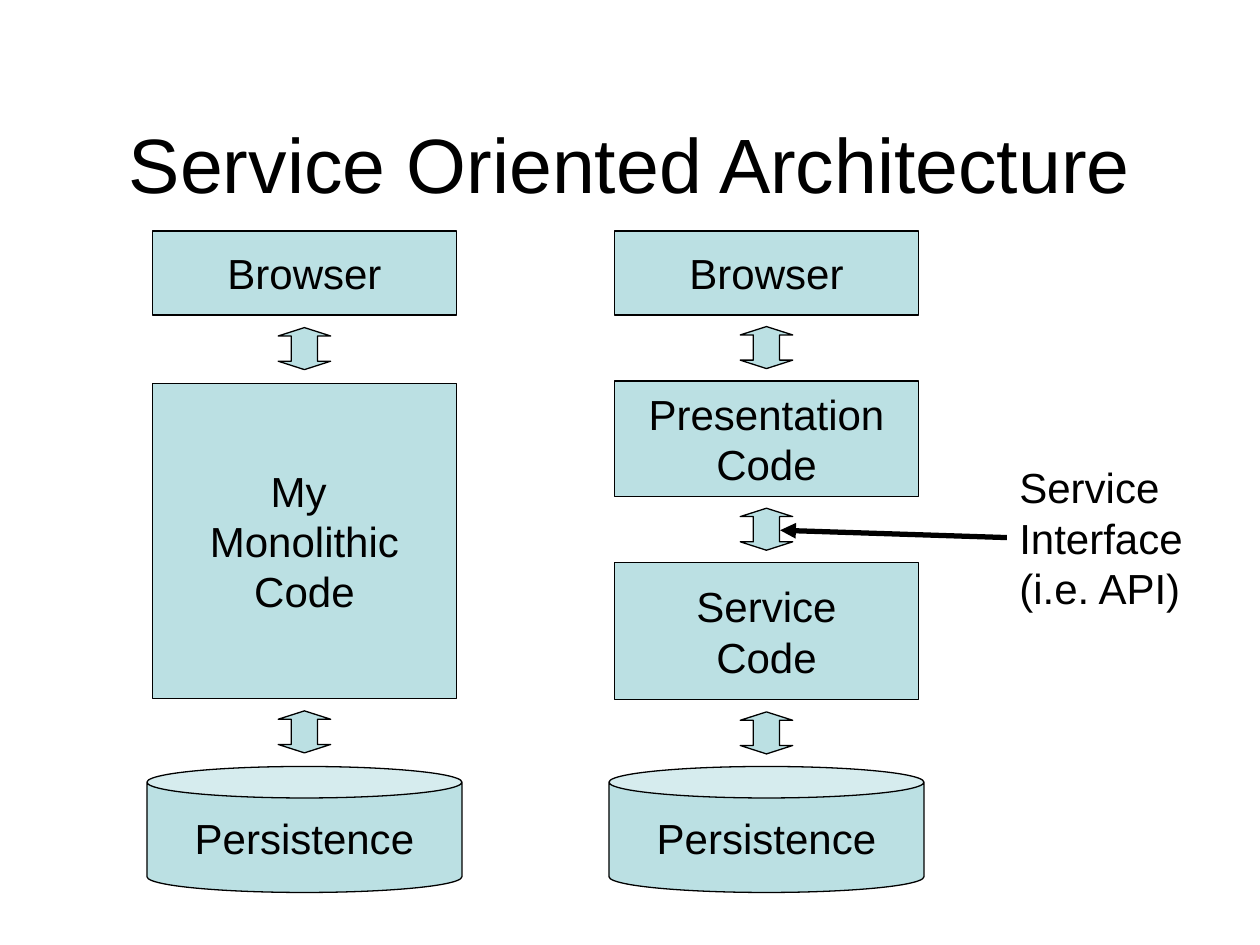
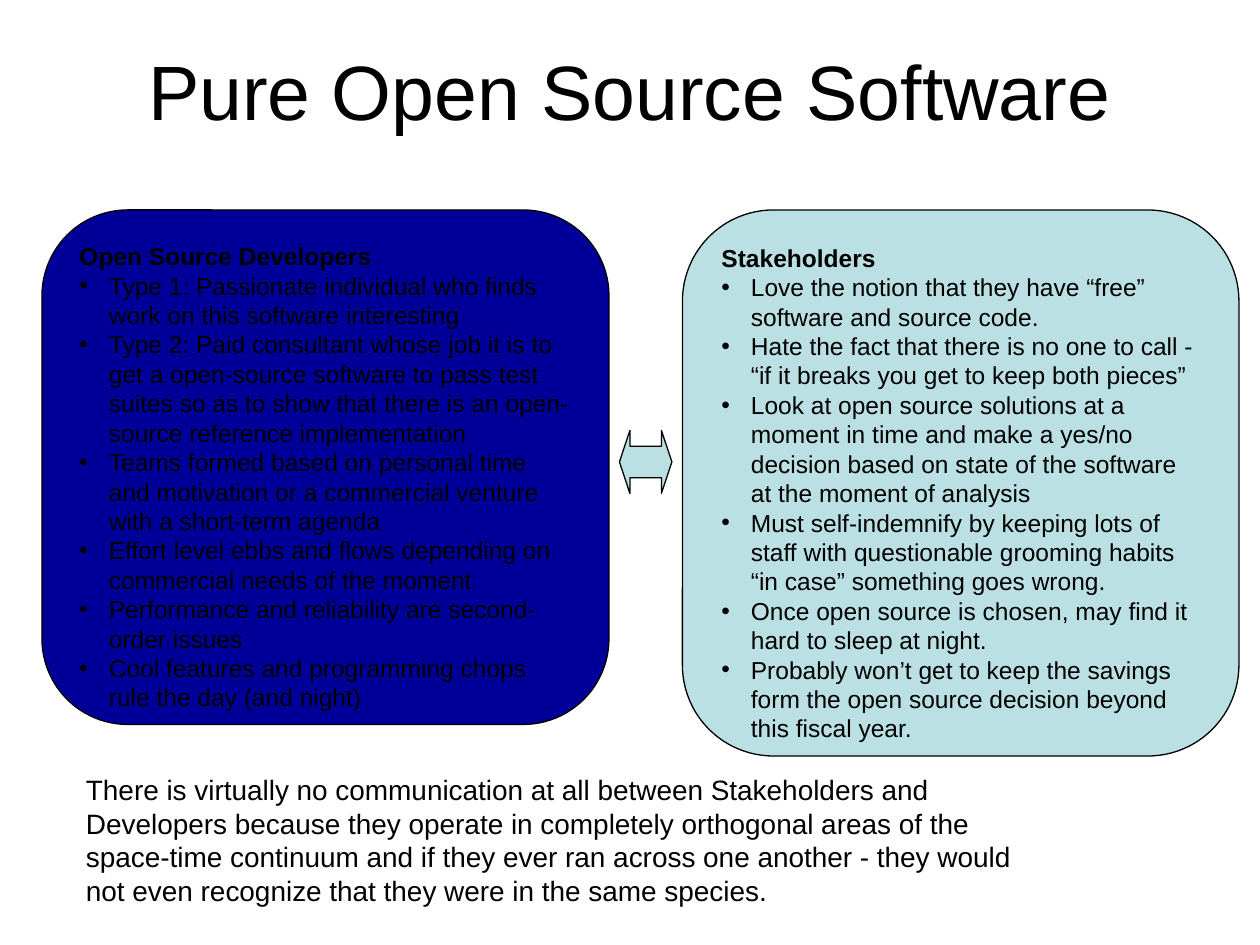
from typing import NamedTuple

from lxml import etree
from pptx import Presentation
from pptx import util as u
from pptx.dml.color import RGBColor
from pptx.enum import shapes, text
from pptx.oxml.ns import qn

PX = 7620
BLACK, PALE, NAVY = "000000", "BBE0E3", "000099"
FONT = "Arial"
KIND = shapes.MSO_SHAPE
HANG = 28
NODE_W, CAN_W = 290, 300
ARROW_W, ARROW_H = 50, 40
ARROW_GUIDES = {"adj1": 50000, "adj2": 20000}


class Box(NamedTuple):
    x: int
    y: int
    w: int
    h: int


class Node(NamedTuple):
    lines: list[str]
    y: int
    h: int
    kind: KIND = KIND.RECTANGLE


class Stack(NamedTuple):
    center: int
    nodes: list[Node]


class Panel(NamedTuple):
    box: Box
    fill: str
    heading: str
    points: list[str]


BROWSER = Node(["Browser"], 220, 80)
PERSISTENCE = Node(["Persistence"], 730, 120, KIND.CAN)

STACKS = [
    Stack(290, [
        BROWSER,
        Node(["My ", "Monolithic", "Code"], 365, 300),
        PERSISTENCE,
    ]),
    Stack(730, [
        BROWSER,
        Node(["Presentation", "Code"], 363, 110),
        Node(["Service", "Code"], 536, 130),
        PERSISTENCE,
    ]),
]

PANELS = [
    Panel(Box(40, 200, 540, 490), NAVY, "Open Source Developers", [
        "Type 1: Passionate individual who finds work on this software interesting",
        "Type 2: Paid consultant whose job it is to get a open-source software to pass "
        "test suites so as to show that there is an open-source reference implementation",
        "Teams formed based on personal time and motivation or a commercial venture "
        "with a short-term agenda",
        "Effort level ebbs and flows depending on commercial needs of the moment",
        "Performance and reliability are second-order issues",
        "Cool features and programming chops rule the day (and night)",
    ]),
    Panel(Box(650, 200, 530, 520), PALE, "Stakeholders", [
        "Love the notion that they have “free” software and source code.",
        "Hate the fact that there is no one to call - “if it breaks you get to keep both pieces”",
        "Look at open source solutions at a moment in time and make a yes/no decision "
        "based on state of the software at the moment of analysis",
        "Must self-indemnify by keeping lots of staff with questionable grooming habits "
        "“in case” something goes wrong.",
        "Once open source is chosen, may find it hard to sleep at night.",
        "Probably won’t get to keep the savings form the open source decision beyond "
        "this fiscal year.",
    ]),
]

SUMMARY = (
    "There is virtually no communication at all between Stakeholders and Developers "
    "because they operate in completely orthogonal areas of the space-time continuum "
    "and if they ever ran across one another - they would not even recognize that they "
    "were in the same species."
)


def px(n: int) -> u.Emu:
    return u.Emu(n * PX)


def rgb(color: str) -> RGBColor:
    return RGBColor.from_string(color)


def add_bullet(p) -> None:
    pPr = p._p.get_or_add_pPr()
    pPr.set("marL", str(px(HANG)))
    pPr.set("indent", str(-px(HANG)))
    clr = etree.SubElement(pPr, qn("a:buClr"))
    etree.SubElement(clr, qn("a:srgbClr"), val=BLACK)
    etree.SubElement(pPr, qn("a:buFont"), typeface=FONT)
    etree.SubElement(pPr, qn("a:buChar"), char="•")


def write(tf, line: str, *, size: int, bold: bool = False, bullet: bool = False,
          align=text.PP_ALIGN.LEFT) -> None:
    p = tf.paragraphs[0]
    if p.runs:
        p = tf.add_paragraph()
    if bullet:
        add_bullet(p)
    p.alignment = align
    r = p.add_run()
    r.text = line
    r.font.name = FONT
    r.font.size = u.Pt(size)
    r.font.bold = bold
    r.font.color.rgb = rgb(BLACK)


def add_slide(prs, title: str, top: int):
    s = prs.slides.add_slide(prs.slide_layouts[5])
    sp = s.shapes.title
    sp.left, sp.top, sp.width, sp.height = map(px, Box(90, top, 1020, 150))
    tf = sp.text_frame
    tf.auto_size = text.MSO_AUTO_SIZE.NONE
    tf.vertical_anchor = text.MSO_ANCHOR.MIDDLE
    write(tf, title, size=44, align=text.PP_ALIGN.CENTER)
    return s


def add_shape(s, kind: KIND, box: Box, fill: str = PALE):
    sp = s.shapes.add_shape(kind, *map(px, box))
    sp.shadow.inherit = False
    sp.fill.solid()
    sp.fill.fore_color.rgb = rgb(fill)
    sp.line.color.rgb = rgb(BLACK)
    sp.line.width = u.Pt(0.75)
    return sp


def add_arrow(s, kind: KIND, box: Box) -> None:
    sp = add_shape(s, kind, box)
    guides = sp._element.spPr.find(qn("a:prstGeom")).find(qn("a:avLst"))
    for gd in list(guides):
        guides.remove(gd)
    for name, value in ARROW_GUIDES.items():
        etree.SubElement(guides, qn("a:gd"), name=name, fmla=f"val {value}")


def add_text(s, box: Box, lines: list[str], size: int, wrap: bool) -> None:
    tf = s.shapes.add_textbox(*map(px, box)).text_frame
    tf.word_wrap = wrap
    tf.auto_size = text.MSO_AUTO_SIZE.SHAPE_TO_FIT_TEXT
    for line in lines:
        write(tf, line, size=size)


def add_node(s, node: Node, center: int) -> None:
    w = CAN_W if node.kind == KIND.CAN else NODE_W
    sp = add_shape(s, node.kind, Box(center - w // 2, node.y, w, node.h))
    tf = sp.text_frame
    tf.word_wrap = False
    tf.vertical_anchor = text.MSO_ANCHOR.MIDDLE
    for line in node.lines:
        write(tf, line, size=24, align=text.PP_ALIGN.CENTER)


def add_stack(s, stack: Stack) -> None:
    for node in stack.nodes:
        add_node(s, node, stack.center)
    for upper, lower in zip(stack.nodes, stack.nodes[1:]):
        middle = (upper.y + upper.h + lower.y) // 2
        add_arrow(s, KIND.UP_DOWN_ARROW, Box(
            stack.center - ARROW_W // 2, middle - ARROW_H // 2, ARROW_W, ARROW_H))


def add_pointer(s, x1: int, y1: int, x2: int, y2: int) -> None:
    c = s.shapes.add_connector(shapes.MSO_CONNECTOR.STRAIGHT, *map(px, (x1, y1, x2, y2)))
    c.line.color.rgb = rgb(BLACK)
    c.line.width = u.Pt(3)
    etree.SubElement(c.line._get_or_add_ln(), qn("a:tailEnd"), type="triangle")
    etree.SubElement(c._element.spPr, qn("a:effectLst"))


def add_panel(s, panel: Panel) -> None:
    sp = add_shape(s, KIND.ROUNDED_RECTANGLE, panel.box, panel.fill)
    tf = sp.text_frame
    tf.word_wrap = True
    tf.vertical_anchor = text.MSO_ANCHOR.TOP
    write(tf, panel.heading, size=14, bold=True)
    for point in panel.points:
        write(tf, point, size=14, bullet=True)


def build_architecture(prs) -> None:
    s = add_slide(prs, "Service Oriented Architecture", 80)
    for stack in STACKS:
        add_stack(s, stack)
    add_text(s, Box(959, 434, 191, 156), ["Service", "Interface", "(i.e. API)"], 24, False)
    add_pointer(s, 959, 512, 743, 505)


def build_open_source(prs) -> None:
    s = add_slide(prs, "Pure Open Source Software", 10)
    for panel in PANELS:
        add_panel(s, panel)
    add_arrow(s, KIND.LEFT_RIGHT_ARROW, Box(590, 410, 50, 60))
    add_text(s, Box(70, 730, 940, 140), [SUMMARY], 16, True)


def main() -> None:
    prs = Presentation()
    prs.slide_width, prs.slide_height = px(1200), px(900)
    build_architecture(prs)
    build_open_source(prs)
    prs.save("out.pptx")


if __name__ == "__main__":
    main()
